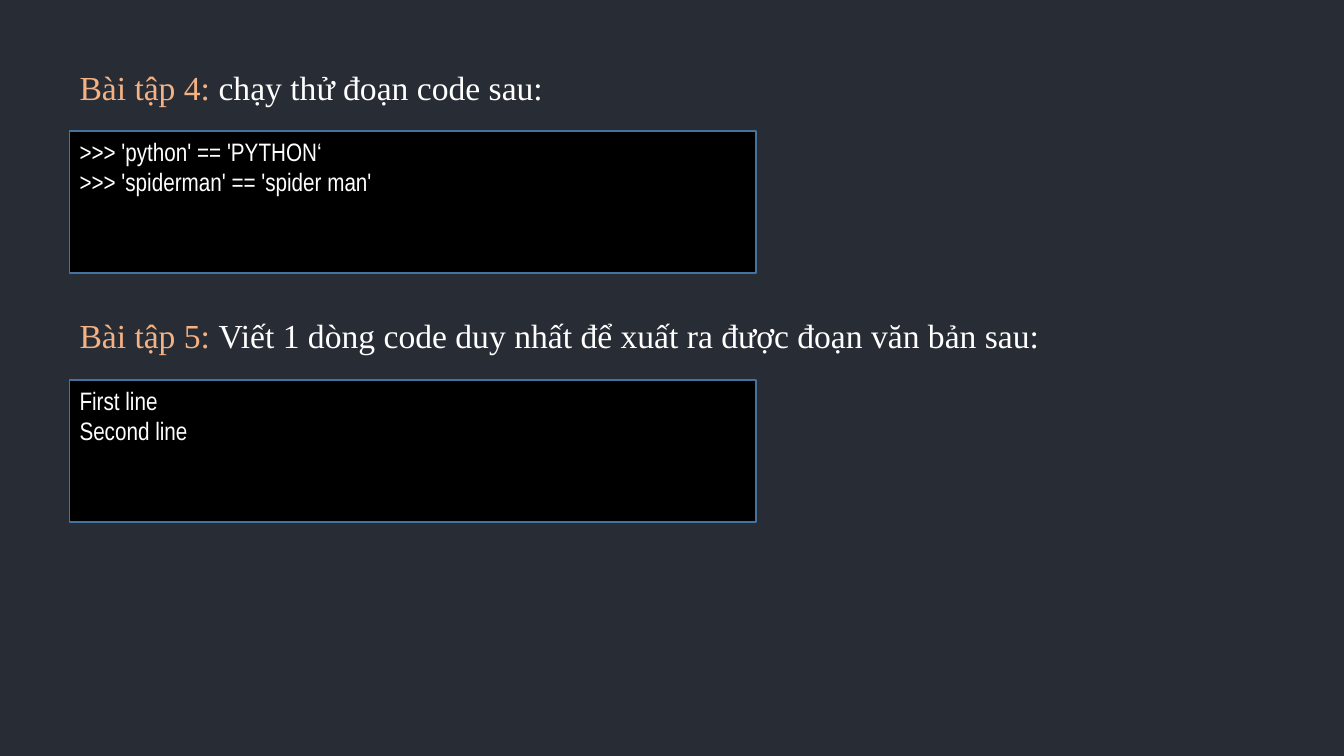
from dataclasses import dataclass

from pptx import Presentation
from pptx.dml.color import RGBColor
from pptx.enum.shapes import MSO_SHAPE
from pptx.enum.text import MSO_ANCHOR, PP_ALIGN
from pptx.slide import Slide
from pptx.util import Inches, Pt

BACKGROUND = "282C34"
ACCENT = "F4B183"
WHITE = "FFFFFF"
BLACK = "000000"
BORDER = "43739E"

LEFT = 0.69
CONSOLE_OFFSET = 0.69


@dataclass
class Exercise:
    top: float
    label: str
    task: str
    console: list[str]


EXERCISES = [
    Exercise(0.61, "Bài tập 4: ", "chạy thử đoạn code sau:",
             [">>> 'python' == 'PYTHON‘", ">>> 'spiderman' == 'spider man'"]),
    Exercise(3.08, "Bài tập 5: ",
             "Viết 1 dòng code duy nhất để xuất ra được đoạn văn bản sau:",
             ["First line", "Second line"]),
]


def rgb(color: str) -> RGBColor:
    return RGBColor.from_string(color)


def style_run(r, font: str, size: float, color: str) -> None:
    r.font.name = font
    r.font.size = Pt(size)
    r.font.color.rgb = rgb(color)


def add_heading(s: Slide, exercise: Exercise) -> None:
    sp = s.shapes.add_textbox(Inches(LEFT), Inches(exercise.top),
                              Inches(11.72), Inches(0.56))
    tf = sp.text_frame
    tf.word_wrap = True
    p = tf.paragraphs[0]
    for text, color in ((exercise.label, ACCENT), (exercise.task, WHITE)):
        r = p.add_run()
        r.text = text
        style_run(r, "Times New Roman", 24, color)


def add_console(s: Slide, exercise: Exercise) -> None:
    sp = s.shapes.add_shape(MSO_SHAPE.RECTANGLE, Inches(LEFT),
                            Inches(exercise.top + CONSOLE_OFFSET),
                            Inches(6.81), Inches(1.41))
    sp.shadow.inherit = False
    sp.fill.solid()
    sp.fill.fore_color.rgb = rgb(BLACK)
    sp.line.color.rgb = rgb(BORDER)
    sp.line.width = Pt(1)
    tf = sp.text_frame
    tf.word_wrap = True
    tf.vertical_anchor = MSO_ANCHOR.TOP
    tf.text = "\n".join(exercise.console)
    for p in tf.paragraphs:
        p.alignment = PP_ALIGN.LEFT
        for r in p.runs:
            style_run(r, "Arial Narrow", 18, WHITE)


def main() -> None:
    prs = Presentation()
    prs.slide_width = Inches(13.33)
    prs.slide_height = Inches(7.5)
    s = prs.slides.add_slide(prs.slide_layouts[6])
    s.background.fill.solid()
    s.background.fill.fore_color.rgb = rgb(BACKGROUND)
    for exercise in EXERCISES:
        add_console(s, exercise)
        add_heading(s, exercise)
    prs.save("out.pptx")


if __name__ == "__main__":
    main()
